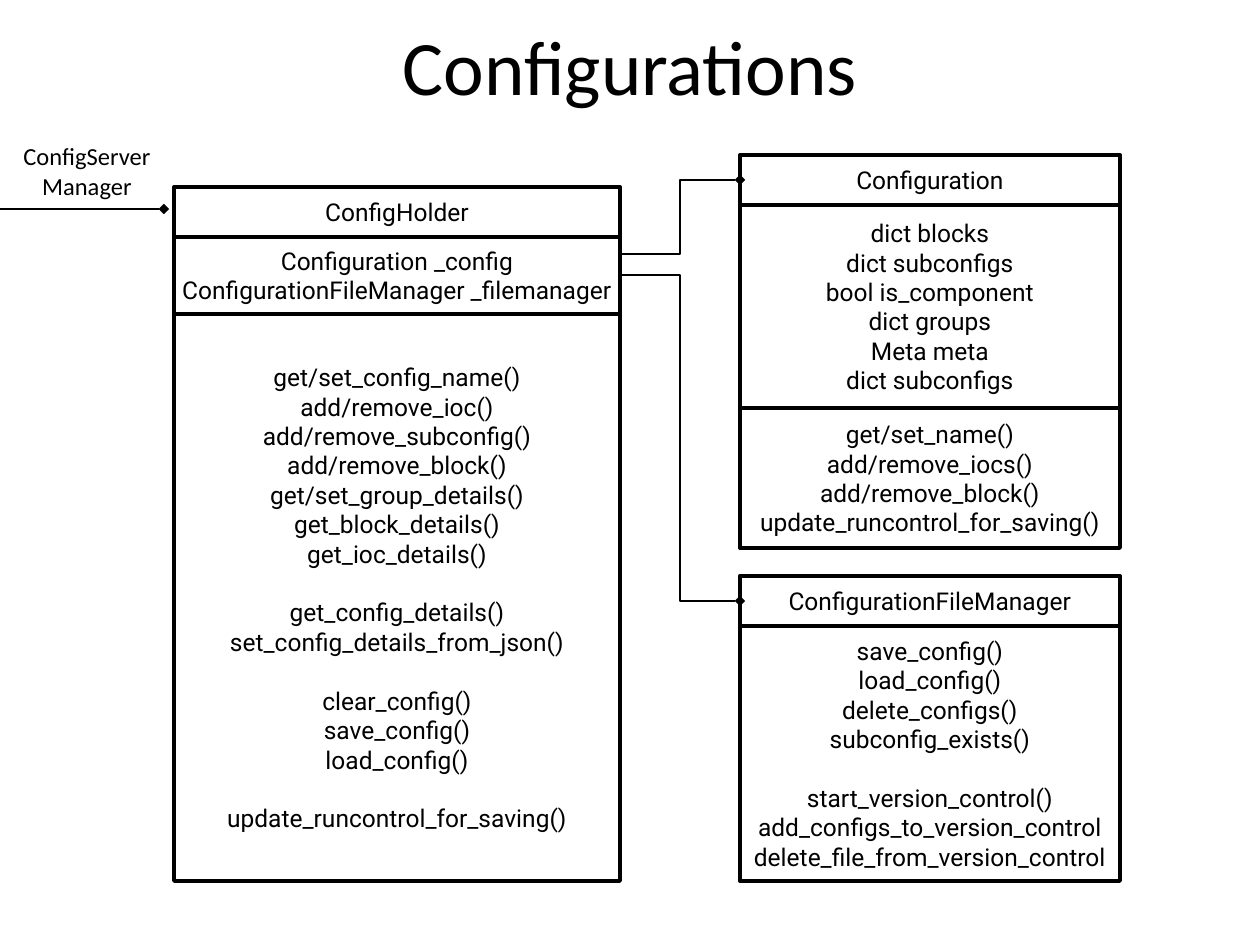
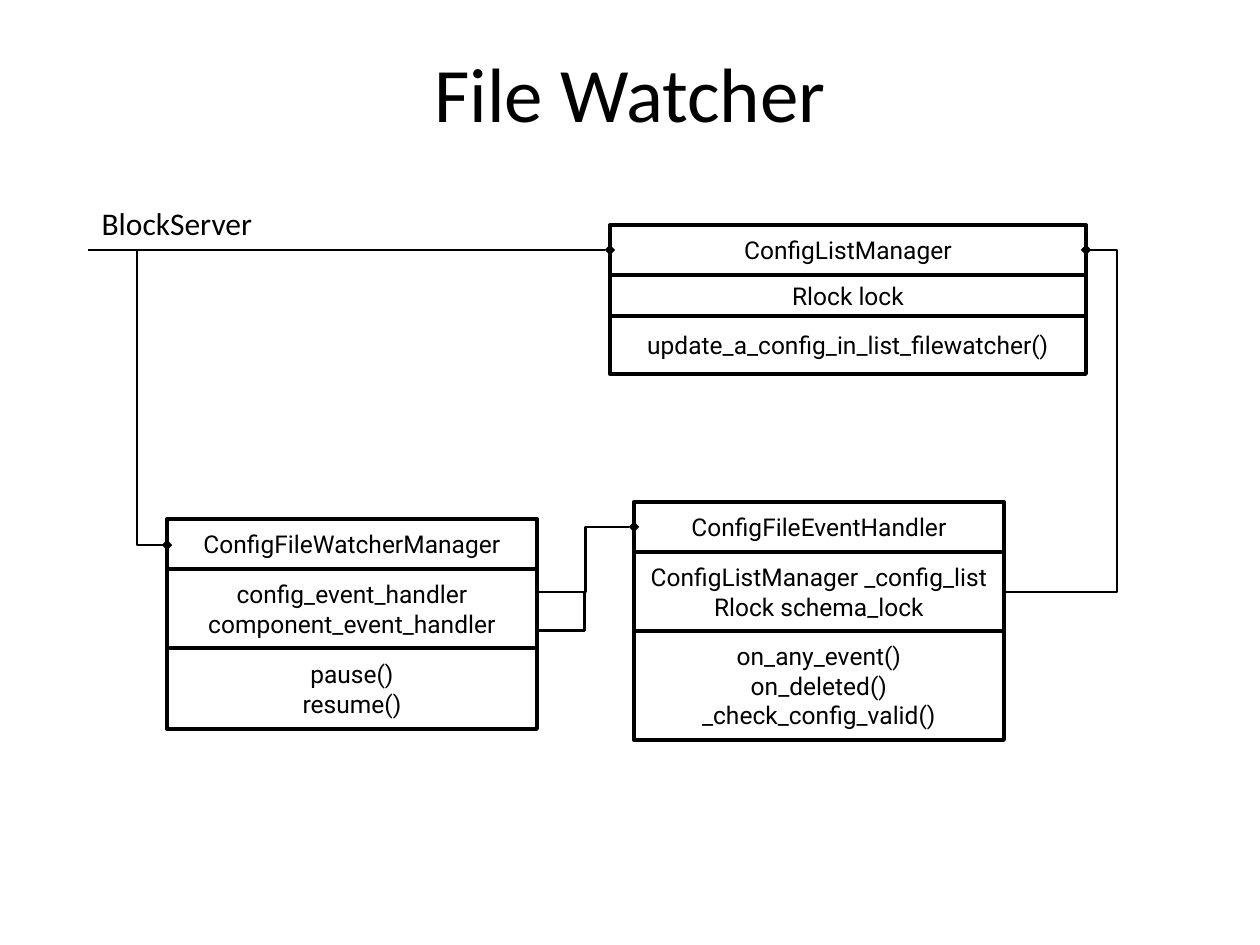
from dataclasses import dataclass

from lxml.etree import SubElement
from pptx import Presentation
from pptx.dml.color import RGBColor
from pptx.enum.shapes import MSO_CONNECTOR, MSO_SHAPE
from pptx.enum.text import MSO_ANCHOR, MSO_AUTO_SIZE, PP_ALIGN
from pptx.oxml.ns import qn
from pptx.slide import Slide
from pptx.text.text import TextFrame
from pptx.util import Emu, Pt

# Shared style
BLACK = RGBColor(0x00, 0x00, 0x00)
TITLE_FONT, CLASS_FONT = "Calibri", "Roboto"
TITLE_SIZE, CLASS_SIZE, GAP = 44, 14, 16.8
BOX_LINE, LINK_LINE = 2.25, 1.5
TITLE_LEFT, TITLE_WIDTH = 63, 1134
PX = 914400 // 126


def px(n: int) -> Emu:
    return Emu(n * PX)


@dataclass
class ClassBox:
    """A class diagram box; edges are the tops of its sections and the bottom.

    An empty line leaves a gap above the line that follows it.
    """
    left: int
    width: int
    edges: tuple[int, ...]
    sections: tuple[tuple[str, ...], ...]


@dataclass
class Link:
    """A line whose bend lies at a fraction of its width."""
    start: tuple[int, int]
    end: tuple[int, int]
    bend: float = 0.5
    weight: float = LINK_LINE
    diamond: bool = True


@dataclass
class Label:
    box: tuple[int, int, int, int]
    lines: tuple[str, ...]
    size: int


@dataclass
class Diagram:
    title: str
    title_top: int
    title_height: int
    boxes: list[ClassBox]
    links: list[Link]
    label: Label


def write(tf: TextFrame, lines: tuple[str, ...], font: str, size: int) -> None:
    gap, first = False, True
    for line in lines:
        if not line:
            gap = True
            continue
        p = tf.paragraphs[0] if first else tf.add_paragraph()
        p.text, p.alignment = line, PP_ALIGN.CENTER
        p.font.name, p.font.size, p.font.color.rgb = font, Pt(size), BLACK
        if gap:
            p.space_before = Pt(GAP)
        gap, first = False, False


def draw_title(s: Slide, d: Diagram) -> None:
    sp = s.shapes.title
    sp.left, sp.top = px(TITLE_LEFT), px(d.title_top)
    sp.width, sp.height = px(TITLE_WIDTH), px(d.title_height)
    tf = sp.text_frame
    tf.vertical_anchor, tf.auto_size = MSO_ANCHOR.MIDDLE, MSO_AUTO_SIZE.NONE
    write(tf, (d.title,), TITLE_FONT, TITLE_SIZE)


def draw_box(s: Slide, box: ClassBox) -> None:
    for i, (top, bottom, lines) in enumerate(
            zip(box.edges, box.edges[1:], box.sections), start=1):
        last = i == len(box.sections)
        kind = MSO_SHAPE.RECTANGLE if last else MSO_SHAPE.FLOWCHART_PROCESS
        sp = s.shapes.add_shape(kind, px(box.left), px(top),
                                px(box.width), px(bottom - top))
        sp.shadow.inherit = False
        sp.fill.background()
        sp.line.color.rgb, sp.line.width = BLACK, Pt(BOX_LINE)
        tf = sp.text_frame
        tf.word_wrap, tf.vertical_anchor = False, MSO_ANCHOR.MIDDLE
        write(tf, lines, CLASS_FONT, CLASS_SIZE)


def draw_link(s: Slide, link: Link) -> None:
    straight = link.start[1] == link.end[1]
    kind = MSO_CONNECTOR.STRAIGHT if straight else MSO_CONNECTOR.ELBOW
    c = s.shapes.add_connector(kind, *map(px, link.start + link.end))
    c.line.color.rgb, c.line.width = BLACK, Pt(link.weight)
    props = c._element.spPr
    if not straight:
        guides = props.find(qn("a:prstGeom")).get_or_add_avLst()
        SubElement(guides, qn("a:gd"), name="adj1",
                   fmla=f"val {round(link.bend * 100000)}")
    if link.diamond:
        SubElement(props.find(qn("a:ln")), qn("a:tailEnd"), type="diamond")
    SubElement(props, qn("a:effectLst"))


def draw_label(s: Slide, label: Label) -> None:
    tf = s.shapes.add_textbox(*map(px, label.box)).text_frame
    tf.word_wrap = False
    write(tf, label.lines, TITLE_FONT, label.size)


def draw_diagram(prs: Presentation, d: Diagram) -> None:
    s = prs.slides.add_slide(prs.slide_layouts[5])
    draw_title(s, d)
    for box in d.boxes:
        draw_box(s, box)
    for link in d.links:
        draw_link(s, link)
    draw_label(s, d.label)


# Slide 1: configuration classes
configurations = Diagram(
    "Configurations", -14, 158,
    boxes=[
        ClassBox(740, 380, (155, 205, 408, 548), (
            ("Configuration",),
            ("dict blocks", "dict subconfigs", "bool is_component",
             "dict groups", "Meta meta", "dict subconfigs"),
            ("get/set_name()", "add/remove_iocs()", "add/remove_block()",
             "update_runcontrol_for_saving()"))),
        ClassBox(174, 446, (187, 237, 314, 881), (
            ("ConfigHolder",),
            ("Configuration _config",
             "ConfigurationFileManager _filemanager"),
            ("get/set_config_name()", "add/remove_ioc()",
             "add/remove_subconfig()", "add/remove_block()",
             "get/set_group_details()", "get_block_details()",
             "get_ioc_details()", "",
             "get_config_details()", "set_config_details_from_json()", "",
             "clear_config()", "save_config()", "load_config()", "",
             "update_runcontrol_for_saving()"))),
        ClassBox(740, 380, (576, 626, 881), (
            ("ConfigurationFileManager",),
            ("save_config()", "load_config()", "delete_configs()",
             "subconfig_exists()", "",
             "start_version_control()", "add_configs_to_version_control",
             "delete_file_from_version_control"))),
    ],
    links=[
        Link((0, 209), (164, 209)),
        Link((620, 254), (740, 180)),
        Link((620, 275), (740, 601)),
    ],
    label=Label((10, 135, 154, 72), ("ConfigServer", "Manager"), 14))

# Slide 2: file watcher classes
file_watcher = Diagram(
    "File Watcher", 38, 107,
    boxes=[
        ClassBox(610, 476, (225, 275, 316, 374), (
            ("ConfigListManager",),
            ("Rlock lock",),
            ("update_a_config_in_list_filewatcher()",))),
        ClassBox(167, 370, (519, 569, 648, 729), (
            ("ConfigFileWatcherManager",),
            ("config_event_handler", "component_event_handler"),
            ("pause()", "resume()"))),
        ClassBox(634, 370, (502, 552, 631, 740), (
            ("ConfigFileEventHandler",),
            ("ConfigListManager _config_list", "Rlock schema_lock"),
            ("on_any_event()", "on_deleted()", "_check_config_valid()"))),
    ],
    links=[
        Link((88, 250), (610, 250)),
        Link((137, 250), (167, 545), bend=0),
        Link((1004, 592), (1086, 250), bend=1.38),
        Link((537, 592), (634, 527)),
        Link((537, 631), (585, 592), bend=1, weight=1.75, diamond=False),
    ],
    label=Label((88, 198, 178, 50), ("BlockServer",), 18))

prs = Presentation()
prs.slide_width, prs.slide_height = px(1260), px(945)
for diagram in (configurations, file_watcher):
    draw_diagram(prs, diagram)
prs.save("out.pptx")
